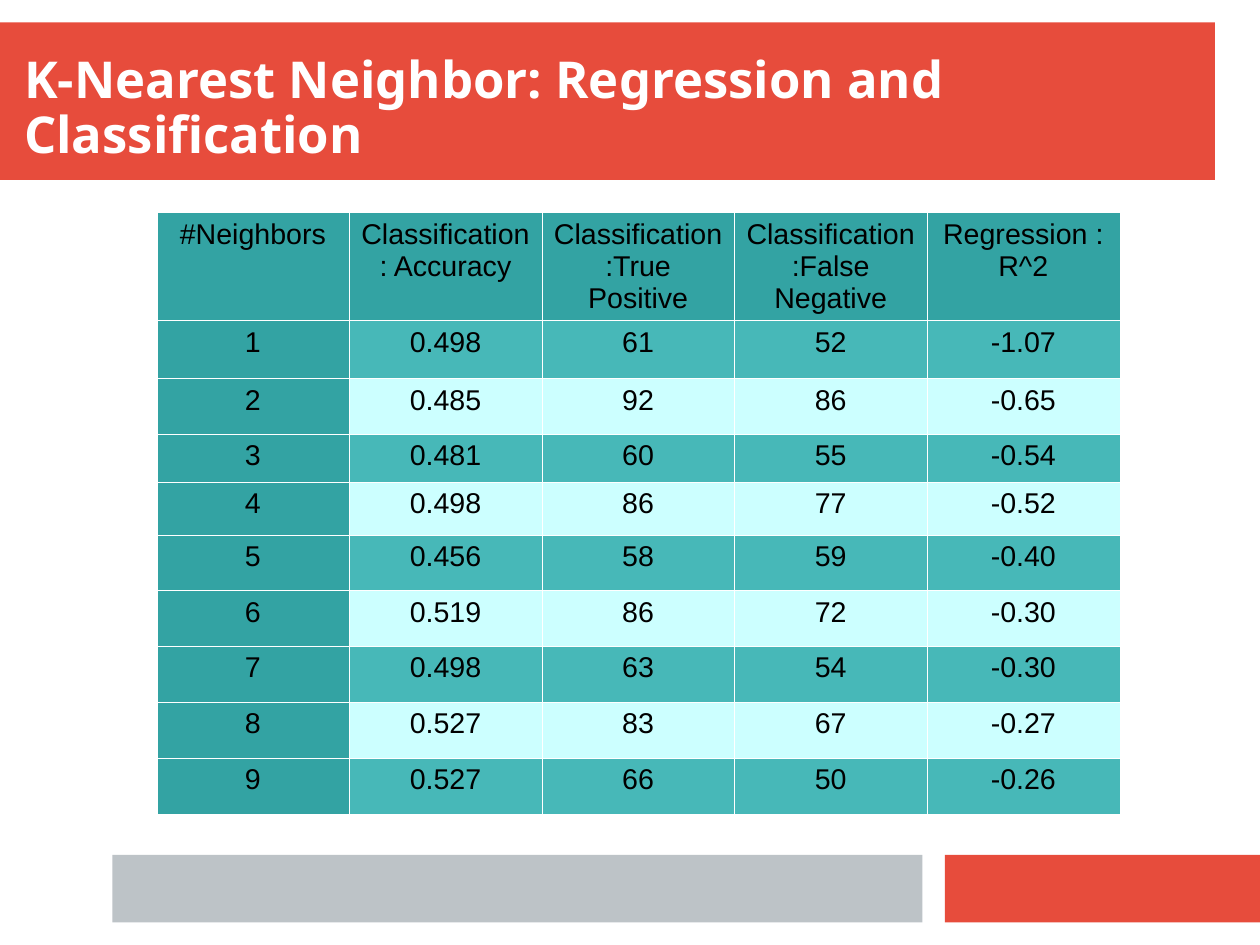
from lxml.etree import SubElement
from pptx import Presentation
from pptx.dml.color import RGBColor
from pptx.enum.shapes import MSO_SHAPE
from pptx.enum.text import MSO_ANCHOR, MSO_AUTO_SIZE, PP_ALIGN
from pptx.oxml.ns import qn
from pptx.util import Cm, Pt

# Content
TITLE = "K-Nearest Neighbor: Regression and Classification"
HEADINGS = ("#Neighbors", "Classification: Accuracy", "Classification:True Positive",
            "Classification :False Negative", "Regression :R^2")
RESULTS = [
    ("1", "0.498", "61", "52", "-1.07"),
    ("2", "0.485", "92", "86", "-0.65"),
    ("3", "0.481", "60", "55", "-0.54"),
    ("4", "0.498", "86", "77", "-0.52"),
    ("5", "0.456", "58", "59", "-0.40"),
    ("6", "0.519", "86", "72", "-0.30"),
    ("7", "0.498", "63", "54", "-0.30"),
    ("8", "0.527", "83", "67", "-0.27"),
    ("9", "0.527", "66", "50", "-0.26"),
]

RED = RGBColor(0xE7, 0x4C, 0x3C)
GRAY = RGBColor(0xBD, 0xC3, 0xC7)
DARK_TEAL = RGBColor(0x33, 0xA3, 0xA3)
TEAL = RGBColor(0x47, 0xB8, 0xB8)
PALE_CYAN = RGBColor(0xCC, 0xFF, 0xFF)
WHITE = RGBColor(0xFF, 0xFF, 0xFF)
BLACK = RGBColor(0, 0, 0)

# Layout, in centimetres
BARS = [
    (0, 0.5, 27, 3.5, RED),
    (21, 19, 7, 1.5, RED),
    (2.5, 19, 18, 1.5, GRAY),
]
COLUMN_WIDTH = 4.28
ROW_HEIGHTS = (2.4, 1.29, 1.24, 1.06, 1.17) + (1.24,) * 5


def set_borders(cell, color, width):
    properties = cell._tc.get_or_add_tcPr()
    for position, side in enumerate(("a:lnL", "a:lnR", "a:lnT", "a:lnB")):
        border = SubElement(properties, qn(side), w=str(width))
        properties.insert(position, border)
        fill = SubElement(border, qn("a:solidFill"))
        SubElement(fill, qn("a:srgbClr"), val=str(color))


def cell_color(row, column):
    if row == 0 or column == 0:
        return DARK_TEAL
    return TEAL if row % 2 else PALE_CYAN


presentation = Presentation()
presentation.slide_width, presentation.slide_height = Cm(28), Cm(21)
slide = presentation.slides.add_slide(presentation.slide_layouts[5])

# Coloured bars
for left, top, width, height, color in BARS:
    bar = slide.shapes.add_shape(MSO_SHAPE.RECTANGLE, Cm(left), Cm(top), Cm(width), Cm(height))
    bar.shadow.inherit = False
    bar.fill.solid()
    bar.fill.fore_color.rgb = color
    bar.line.fill.background()

# Title, brought in front of the bars
title = slide.shapes.title
slide.shapes._spTree.append(title._element)
title.left, title.top, title.width, title.height = Cm(0.28), Cm(1.08), Cm(26.1), Cm(2.9)
title.text_frame.text = TITLE
title.text_frame.word_wrap = True
title.text_frame.auto_size = MSO_AUTO_SIZE.NONE
title.text_frame.vertical_anchor = MSO_ANCHOR.TOP
heading = title.text_frame.paragraphs[0]
heading.alignment = PP_ALIGN.LEFT
heading.line_spacing = 0.9
heading.font.name, heading.font.size, heading.font.bold = "Noto Sans", Pt(32), True
heading.font.color.rgb = WHITE

# Results table
rows = [HEADINGS] + RESULTS
results = slide.shapes.add_table(
    len(rows), len(HEADINGS), Cm(3.48), Cm(4.72),
    Cm(COLUMN_WIDTH * len(HEADINGS)), Cm(sum(ROW_HEIGHTS))).table
for column in results.columns:
    column.width = Cm(COLUMN_WIDTH)
for row, height in zip(results.rows, ROW_HEIGHTS):
    row.height = Cm(height)
for r, values in enumerate(rows):
    for c, value in enumerate(values):
        cell = results.cell(r, c)
        cell.text = value
        cell.fill.solid()
        cell.fill.fore_color.rgb = cell_color(r, c)
        set_borders(cell, WHITE, Pt(0.06))
        entry = cell.text_frame.paragraphs[0]
        entry.alignment = PP_ALIGN.CENTER
        entry.font.name, entry.font.size, entry.font.bold = "Arial", Pt(18), False
        entry.font.color.rgb = BLACK

presentation.save("out.pptx")
